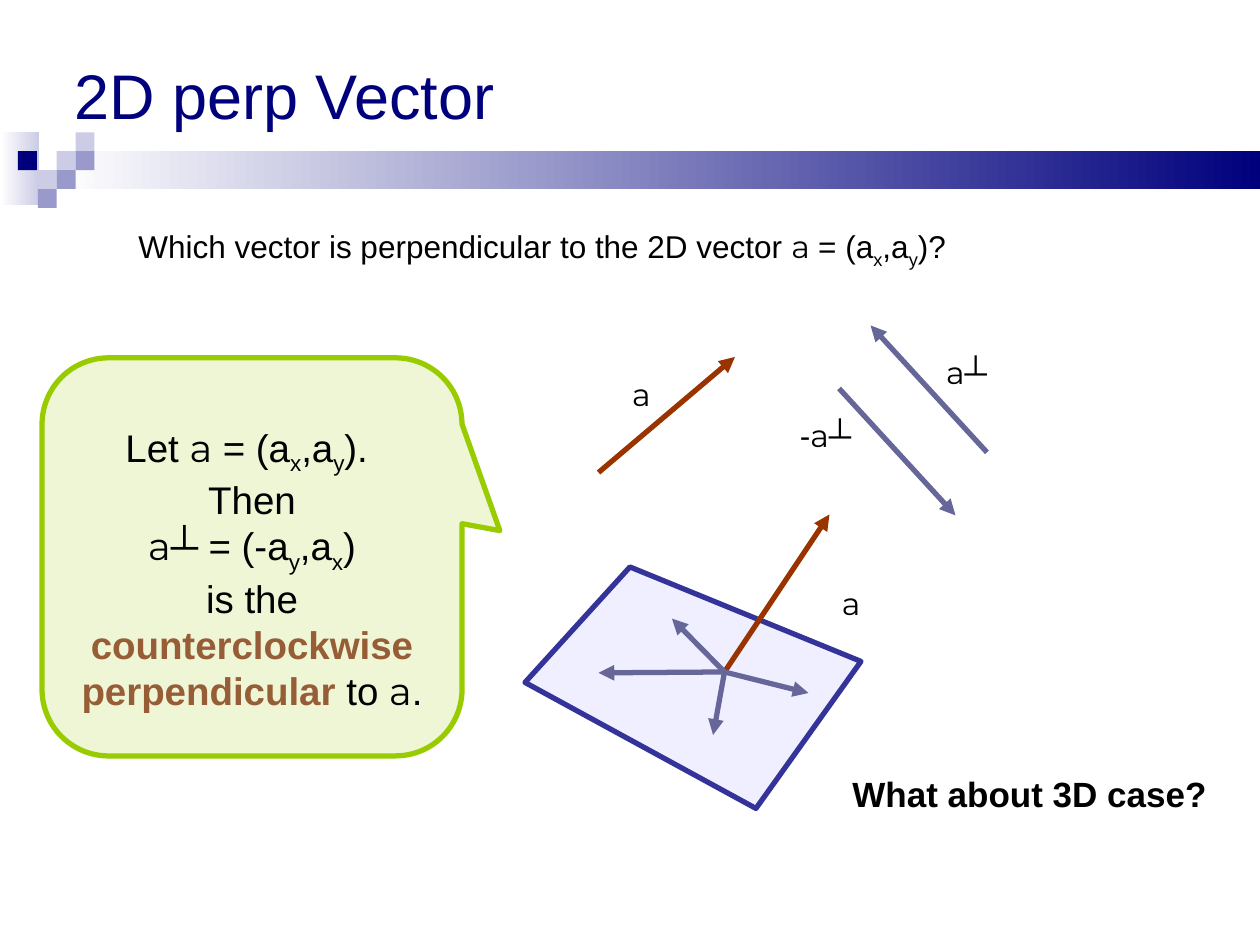
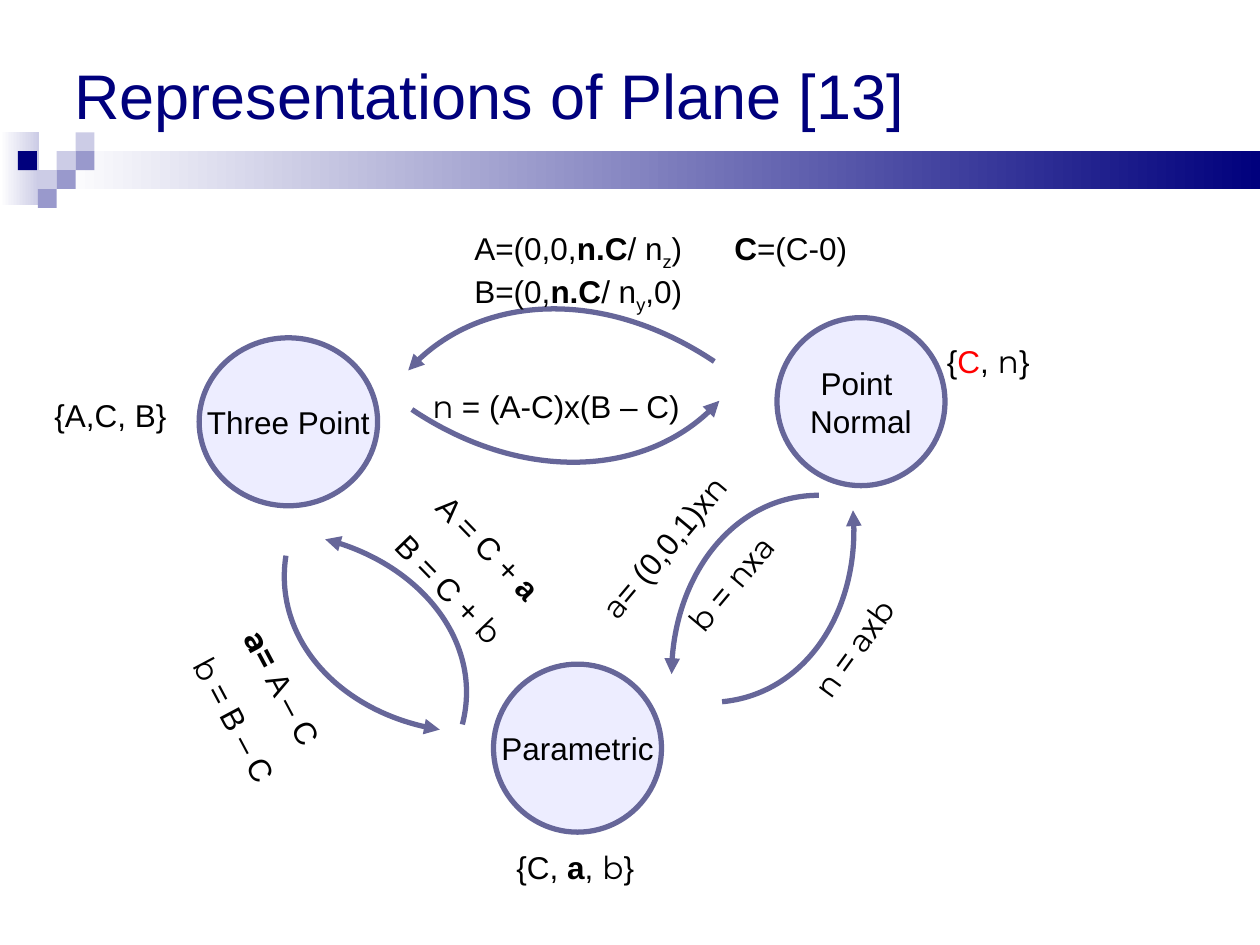
import pptx
import pptx.dml.color
import pptx.enum.shapes
import pptx.enum.text
import pptx.oxml
import pptx.oxml.ns
import pptx.util

Pt = pptx.util.Pt
RGBColor = pptx.dml.color.RGBColor
SHAPE = pptx.enum.shapes.MSO_SHAPE
ALIGN = pptx.enum.text.PP_ALIGN
ANCHOR = pptx.enum.text.MSO_ANCHOR
qn = pptx.oxml.ns.qn

NAVY = RGBColor(0x00, 0x00, 0x7D)
LAVENDER = RGBColor(0x99, 0x99, 0xCC)
PALE = RGBColor(0xCC, 0xCC, 0xE6)
WHITE = RGBColor(0xFF, 0xFF, 0xFF)
BLACK = RGBColor(0x00, 0x00, 0x00)
LIME = RGBColor(0x99, 0xCC, 0x00)
RUST = RGBColor(0x99, 0x33, 0x00)
BROWN = RGBColor(0x96, 0x5D, 0x36)
RED = RGBColor(0xFF, 0x00, 0x00)
SLATE = RGBColor(0x66, 0x66, 0x99)
INDIGO = RGBColor(0x33, 0x33, 0x99)
PERIWINKLE = RGBColor(0x99, 0x99, 0xFF)

TEXT_FONT, VECTOR_FONT = "Arial", "Montserrat"
LABEL_H = 28.8
PARA_GAP = 11.2


def write(tf, paragraphs, size=18, align=ALIGN.LEFT, gap=0):
    """Fill tf; a run is a string or (text, flags): v vector, b bold, _ subscript, r red, o brown."""
    for i, runs in enumerate(paragraphs):
        p = tf.paragraphs[0] if i == 0 else tf.add_paragraph()
        p.alignment = align
        p.space_before = Pt(gap if i else 0)
        for run in runs:
            text, flags = (run, "") if isinstance(run, str) else run
            r = p.add_run()
            r.text = text
            r.font.size = Pt(size)
            r.font.name = VECTOR_FONT if "v" in flags else TEXT_FONT
            r.font.bold = "b" in flags
            r.font.color.rgb = RED if "r" in flags else BROWN if "o" in flags else BLACK
            if "_" in flags:
                r._r.get_or_add_rPr().set("baseline", "-25000")


def add_label(s, x, y, w, paragraphs, h=LABEL_H, size=18, rotation=0, gap=0):
    tb = s.shapes.add_textbox(Pt(x), Pt(y), Pt(w), Pt(h))
    tb.rotation = rotation
    tb.text_frame.word_wrap = True
    write(tb.text_frame, paragraphs, size, gap=gap)
    return tb


def add_tab_stop(p, position):
    tabs = pptx.oxml.parse_xml(f'<a:tabLst {pptx.oxml.ns.nsdecls("a")}/>')
    tab = tabs.makeelement(qn("a:tab"), {"pos": str(Pt(position)), "algn": "l"})
    tabs.append(tab)
    p._p.get_or_add_pPr().append(tabs)


def style_shape(sp, fill, alpha, line):
    """Translucent fill (alpha in percent) with a 3 pt outline."""
    sp.shadow.inherit = False
    sp.fill.solid()
    sp.fill.fore_color.rgb = fill
    clr = sp.element.spPr.find(".//" + qn("a:srgbClr"))
    clr.append(clr.makeelement(qn("a:alpha"), {"val": str(alpha * 1000)}))
    sp.line.color.rgb = line
    sp.line.width = Pt(3)


def style_arrow(sp, color):
    sp.line.color.rgb = color
    sp.line.width = Pt(3)
    ln = sp.element.spPr.get_or_add_ln()
    ln.append(ln.makeelement(qn("a:tailEnd"), {"type": "triangle"}))


def add_arrow(s, x, y, start, end, color):
    """Straight arrow between two points given relative to (x, y)."""
    (x1, y1), (x2, y2) = start, end
    cx = s.shapes.add_connector(pptx.enum.shapes.MSO_CONNECTOR.STRAIGHT,
                                Pt(x + x1), Pt(y + y1), Pt(x + x2), Pt(y + y2))
    style_arrow(cx, color)
    spPr = cx.element.spPr
    spPr.append(spPr.makeelement(qn("a:effectLst"), {}))


def add_outline(s, x, y, points, close):
    """Freeform through points given relative to (x, y)."""
    pts = [(Pt(x + px), Pt(y + py)) for px, py in points]
    fb = s.shapes.build_freeform(*pts[0])
    fb.add_line_segments(pts[1:], close=close)
    return fb.convert_to_shape()


def add_curved_arrow(s, x, y, points):
    """Cubic curve: start, two control points, end."""
    sp = add_outline(s, x, y, points, close=False)
    path = sp.element.find(".//" + qn("a:path"))
    curve = path.makeelement(qn("a:cubicBezTo"), {})
    for segment in path.findall(qn("a:lnTo")):
        curve.append(segment[0])
        path.remove(segment)
    path.append(curve)
    sp.shadow.inherit = False
    sp.fill.background()
    style_arrow(sp, SLATE)


def add_master_band(prs, s, y=75.6, cell=10.8):
    """Draw the band on s, then move it to the slide master, behind its placeholders."""
    def block(x, top, w, h, *colors):
        sp = s.shapes.add_shape(SHAPE.RECTANGLE, Pt(x), Pt(top), Pt(w), Pt(h))
        sp.shadow.inherit = False
        sp.line.fill.background()
        if len(colors) == 1:
            sp.fill.solid()
            sp.fill.fore_color.rgb = colors[0]
        else:
            sp.fill.gradient()
            sp.fill.gradient_angle = 0
            for stop, color in zip(sp.fill.gradient_stops, colors):
                stop.color.rgb = color
        return sp

    blocks = [block(0, y, 22.3, 41.8, WHITE, PALE),
              block(3 * cell, y + cell, 720 - 3 * cell, 2 * cell, WHITE, NAVY)]
    cells = [(3, 1, PALE), (4, 0, PALE), (4, 1, LAVENDER), (2, 2, PALE),
             (0.95, 1, NAVY), (3, 2, LAVENDER), (2, 3, LAVENDER)]
    blocks += [block(col * cell, y + row * cell, cell, cell, color)
               for col, row, color in cells]
    tree = prs.slide_master.shapes.element
    for i, sp in enumerate(blocks):
        sp.element.find(".//" + qn("p:cNvPr")).set("id", str(100 + i))
        tree.insert(2 + i, sp.element)


def add_slide(prs, title):
    s = prs.slides.add_slide(prs.slide_layouts[5])
    ph = s.shapes.title
    ph.left, ph.top, ph.width, ph.height = Pt(35.3), Pt(0), Pt(648), Pt(108)
    tf = ph.text_frame
    tf.text = title
    tf.vertical_anchor = ANCHOR.MIDDLE
    p = tf.paragraphs[0]
    p.alignment = ALIGN.LEFT
    font = p.runs[0].font
    font.size, font.name, font.color.rgb = Pt(36), TEXT_FONT, NAVY
    return s


def add_definition_callout(s, x, y, w, h):
    sp = s.shapes.add_shape(SHAPE.ROUNDED_RECTANGULAR_CALLOUT, Pt(x), Pt(y), Pt(w), Pt(h))
    for i, value in enumerate((0.59, -0.066, 0.167)):
        sp.adjustments[i] = value
    style_shape(sp, LIME, 16, LIME)
    tf = sp.text_frame
    tf.word_wrap = True
    tf.vertical_anchor = ANCHOR.TOP
    tf.margin_top = Pt(26.6)
    write(tf, [
        ["Let ", ("a", "v"), " = (a", ("x", "_"), ",a", ("y", "_"), "). "],
        ["Then"],
        [("a", "v"), "┴ = (-a", ("y", "_"), ",a", ("x", "_"), ")"],
        ["is the ", ("counterclockwise perpendicular", "bo"), " to ", ("a", "v"), "."],
    ], size=22, align=ALIGN.CENTER)


def add_planar_vectors(s, x, y):
    """Vector a beside its two perpendiculars."""
    for start, end, color in [((0, 90), (78, 24), RUST),
                              ((222, 78.5), (155.5, 6), SLATE),
                              ((137.5, 42), (204, 114.5), SLATE)]:
        add_arrow(s, x, y, start, end, color)
    for dx, dy, runs in [(191.5, 18, [("a", "v"), "┴"]),
                         (108, 54, ["-", ("a", "v"), "┴"]),
                         (12.2, 31, [("a", "v")])]:
        add_label(s, x + dx, y + dy, 60, [runs])


def add_plane_with_normal(s, x, y):
    plane = add_outline(s, x, y, [(0, 96), (60, 30), (192, 84), (132, 168)], close=True)
    style_shape(plane, PERIWINKLE, 15, INDIGO)
    foot = (114, 90)
    add_arrow(s, x, y, foot, (174, 0), RUST)
    for tip in [(84, 59.5), (42, 90.5), (107.5, 126), (162, 102)]:
        add_arrow(s, x, y, foot, tip, SLATE)
    add_label(s, x + 174, y + 36, 60, [[("a", "v")]])
    add_label(s, x + 180, y + 144, 240, [[("What about 3D case?", "b")]], h=32, size=20)


def add_representation(s, x, y, w, lines):
    sp = s.shapes.add_shape(SHAPE.OVAL, Pt(x), Pt(y), Pt(w), Pt(96))
    style_shape(sp, PERIWINKLE, 17, SLATE)
    sp.text_frame.word_wrap = False
    sp.text_frame.vertical_anchor = ANCHOR.MIDDLE
    write(sp.text_frame, [[line] for line in lines], align=ALIGN.CENTER)


def add_conversion_diagram(s, x, y):
    """Three plane representations, the conversions between them and their formulas."""
    for dx, dy, w, lines in [(89.8, 67, 102, ["Three Point"]),
                             (420, 55.5, 96, ["Point ", "Normal"]),
                             (258, 253.5, 96, ["Parametric"])]:
        add_representation(s, x + dx, y + dy, w, lines)

    for points in [
        [(211.4, 108), (272.6, 149), (348.2, 146.9), (387.1, 103)],
        [(444, 157), (397.9, 157), (359.8, 203), (359.8, 259.2)],
        [(384.2, 80.6), (323, 39.6), (248.2, 41.8), (209.3, 85.7)],
        [(388.6, 275), (434.6, 270.7), (468.5, 221.8), (463.4, 165.6)],
        [(240.2, 288), (251.8, 243.4), (216.5, 195.8), (161.8, 182.2)],
        [(139.4, 191.5), (132.2, 237.6), (171.1, 282.2), (227.3, 290.9)],
    ]:
        add_curved_arrow(s, x, y, points)

    intercepts = add_label(s, x + 240, y + 1.5, 270, [
        ["A=(0,0,", ("n.C", "b"), "/ n", ("z", "_"), ")\t", ("C", "b"), "=(C-0)"],
        ["B=(0,", ("n.C", "b"), "/ n", ("y", "_"), ",0)"]], h=56)
    add_tab_stop(intercepts.text_frame.paragraphs[0], 148.5)

    for dx, dy, w, rotation, paragraphs in [
        (216, 91.5, 168, 0, [[("n ", "v"), "= (A-C)x(B – C)"]]),
        (416, 213, 120, 306, [[("n ", "v"), "=", (" a", "v"), "x", ("b", "v")]]),
        (346.8, 177, 120, 310, [[("b", "v"), " = ", ("n", "v"), "x", ("a", "v")]]),
        (194, 178.5, 120, 46, [["A = C + ", ("a", "b")], ["B = C + ", ("b", "v")]]),
        (71, 259, 120, 62, [[("a= ", "vb"), "A – C"], [("b", "v"), " = B – C"]]),
        (0, 97, 108, 0, [["{A,C, B}"]]),
        (510, 66, 120, 0, [["{", ("C", "r"), ", ", ("n", "v"), "}"]]),
        (264, 355, 120, 0, [["{C, ", ("a", "b"), ", ", ("b", "v"), "}"]]),
        (292.8, 160, 145.5, 310, [[("a", "v"), "= (0,0,1)x", ("n", "v")]]),
    ]:
        h = LABEL_H if len(paragraphs) == 1 else 62
        add_label(s, x + dx, y + dy, w, paragraphs, h, rotation=rotation, gap=PARA_GAP)


def main():
    prs = pptx.Presentation()
    prs.slide_width, prs.slide_height = Pt(720), Pt(540)

    s = add_slide(prs, "2D perp Vector")
    add_master_band(prs, s)
    add_label(s, 72, 126, 582, [["Which vector is perpendicular to the 2D vector ", ("a ", "v"),
                                 "= (a", ("x", "_"), ",a", ("y", "_"), ")?"]], h=32)
    add_definition_callout(s, 24, 204.5, 240, 227.5)
    add_planar_vectors(s, 342, 180)
    add_plane_with_normal(s, 300, 294)

    s = add_slide(prs, "Representations of Plane [13]")
    add_conversion_diagram(s, 24, 126)

    prs.save("out.pptx")


if __name__ == "__main__":
    main()
